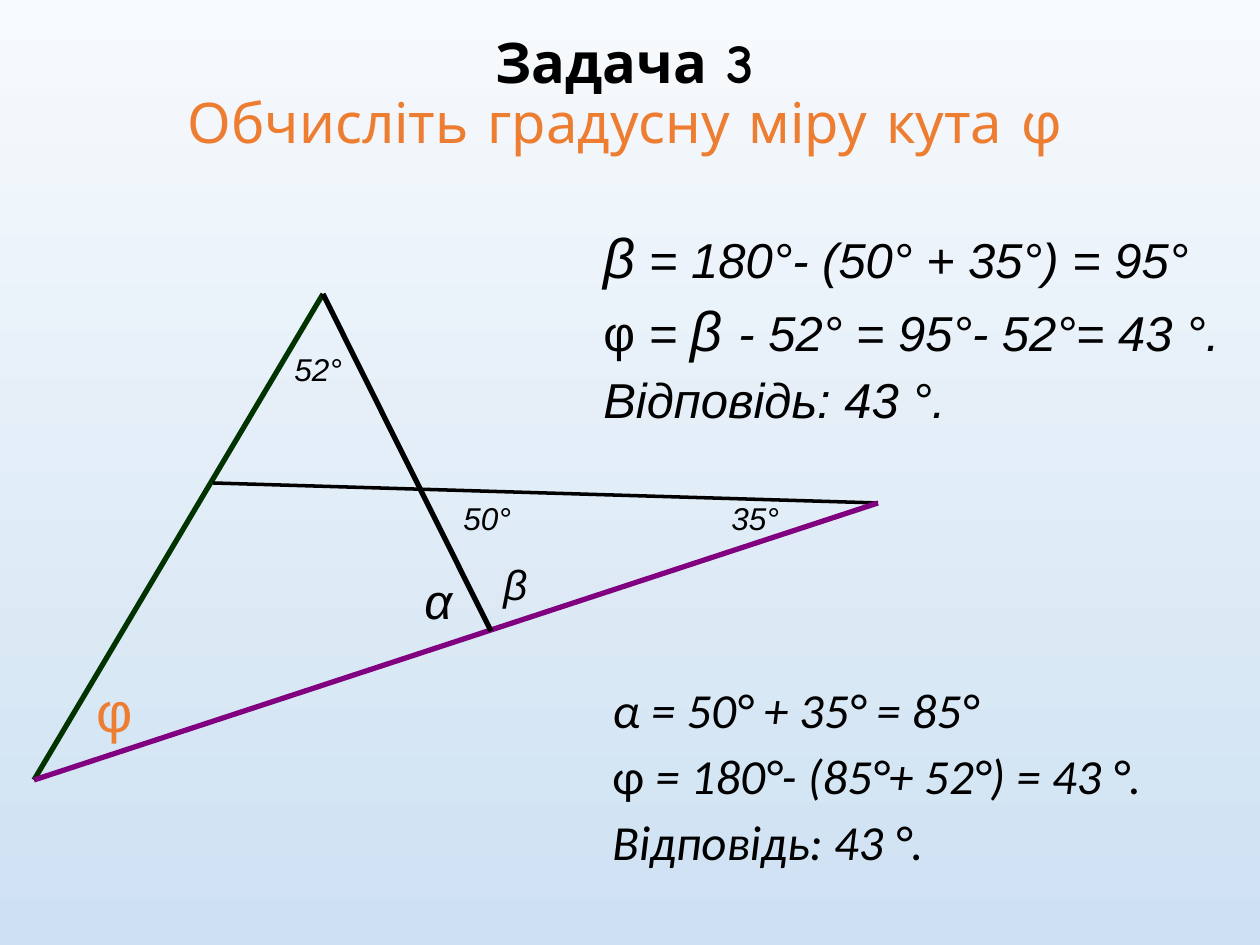
import pptx
import pptx.dml.color
import pptx.enum.shapes
import pptx.enum.text
import pptx.oxml.ns
import pptx.util
import lxml.etree

EMU_PER_PX = 914400 / 126
BLACK, ORANGE, GREEN, PURPLE = "000000", "ED7D31", "003300", "800080"


def color(hex_string):
    return pptx.dml.color.RGBColor.from_string(hex_string)


def add_text(box, paragraphs, font, size, ink, italic=True, spacing=None, before=0):
    """Each paragraph is a list of (text, overrides of the paragraph font)."""
    left, top, width, height = [round(value * EMU_PER_PX) for value in box]
    frame = slide.shapes.add_textbox(left, top, width, height).text_frame
    for index, runs in enumerate(paragraphs):
        paragraph = frame.paragraphs[0] if index == 0 else frame.add_paragraph()
        if spacing:
            paragraph.line_spacing = spacing
        if index:
            paragraph.space_before = pptx.util.Pt(before)
        paragraph.font.name = font
        paragraph.font.size = pptx.util.Pt(size)
        paragraph.font.italic = italic
        paragraph.font.color.rgb = color(ink)
        for text, overrides in runs:
            run = paragraph.add_run()
            run.text = text
            for name, value in overrides.items():
                setattr(run.font, name, value)
    return frame


presentation = pptx.Presentation()
presentation.slide_width = round(1260 * EMU_PER_PX)
presentation.slide_height = round(945 * EMU_PER_PX)
slide = presentation.slides.add_slide(presentation.slide_layouts[6])

# Background, light at the top
background = slide.background.fill
background.gradient()
background.gradient_angle = 270
for stop, position, shade in zip(background.gradient_stops, (0, 1), ("F7FAFD", "CEE1F2")):
    stop.position = position
    stop.color.rgb = color(shade)

# Title
title = add_text((33, -6, 1184, 203), [[("Задача 3", {"bold": True})]],
                 "Comic Neue", 32, BLACK, italic=False, spacing=0.9)
title.word_wrap = True
title.vertical_anchor = pptx.enum.text.MSO_ANCHOR.MIDDLE
heading = title.paragraphs[0]
heading.alignment = pptx.enum.text.PP_ALIGN.CENTER
heading.add_line_break()
question = heading.add_run()
question.text = "Обчисліть градусну міру кута φ"
question.font.color.rgb = color(ORANGE)

# Two ways of solving
upright = {"italic": False}
large = {"size": pptx.util.Pt(32)}
answer = [("Відповідь: 43 °.", {})]
first_solution = [
    [("α = 50° + 35° = 85°", {})],
    [("φ", upright), (" = 180°- (85°+ 52°) = 43 °.", {})],
    answer,
]
second_solution = [
    [("β", large), (" = 180°- (50° + 35°) = 95°", {})],
    [("φ", upright), (" = ", {}), ("β ", large), ("- 52° = 95°- 52°= 43 °.", {})],
    answer,
]
for box, solution, font, before in [
    ((600, 680, 635, 228), first_solution, "Calibri", 7.5),
    ((591, 224, 669, 228), second_solution, "Arial", 7),
]:
    add_text(box, solution, font, 28, BLACK, spacing=0.9, before=before).word_wrap = True

# Triangles
corner, apex, right = (34, 780), (323, 294), (878, 503)
left_side, base = (213, 483), (491, 631)
for start, end, ink, weight in [
    (corner, apex, GREEN, 3),
    (left_side, right, BLACK, 2),
    (corner, right, PURPLE, 3),
    (apex, base, BLACK, 3),
]:
    ends = [round(value * EMU_PER_PX) for value in start + end]
    connector = slide.shapes.add_connector(pptx.enum.shapes.MSO_CONNECTOR.STRAIGHT, *ends)
    connector.line.color.rgb = color(ink)
    connector.line.width = pptx.util.Pt(weight)
    properties = connector.element.find(pptx.oxml.ns.qn("p:spPr"))
    lxml.etree.SubElement(properties, pptx.oxml.ns.qn("a:effectLst"))

# Angle labels
for text, box, size, ink, italic in [
    ("50°", (451, 493, 73, 50), 18, BLACK, True),
    ("35°", (719, 493, 73, 50), 18, BLACK, True),
    ("52°", (282, 344, 73, 50), 18, BLACK, True),
    ("φ", (84, 670, 49, 81), 32, ORANGE, False),
    ("α", (412, 564, 53, 72), 28, BLACK, True),
    ("β", (491, 552, 49, 63), 24, BLACK, True),
]:
    add_text(box, [[(text, {})]], "Arial", size, ink, italic)

presentation.save("out.pptx")
